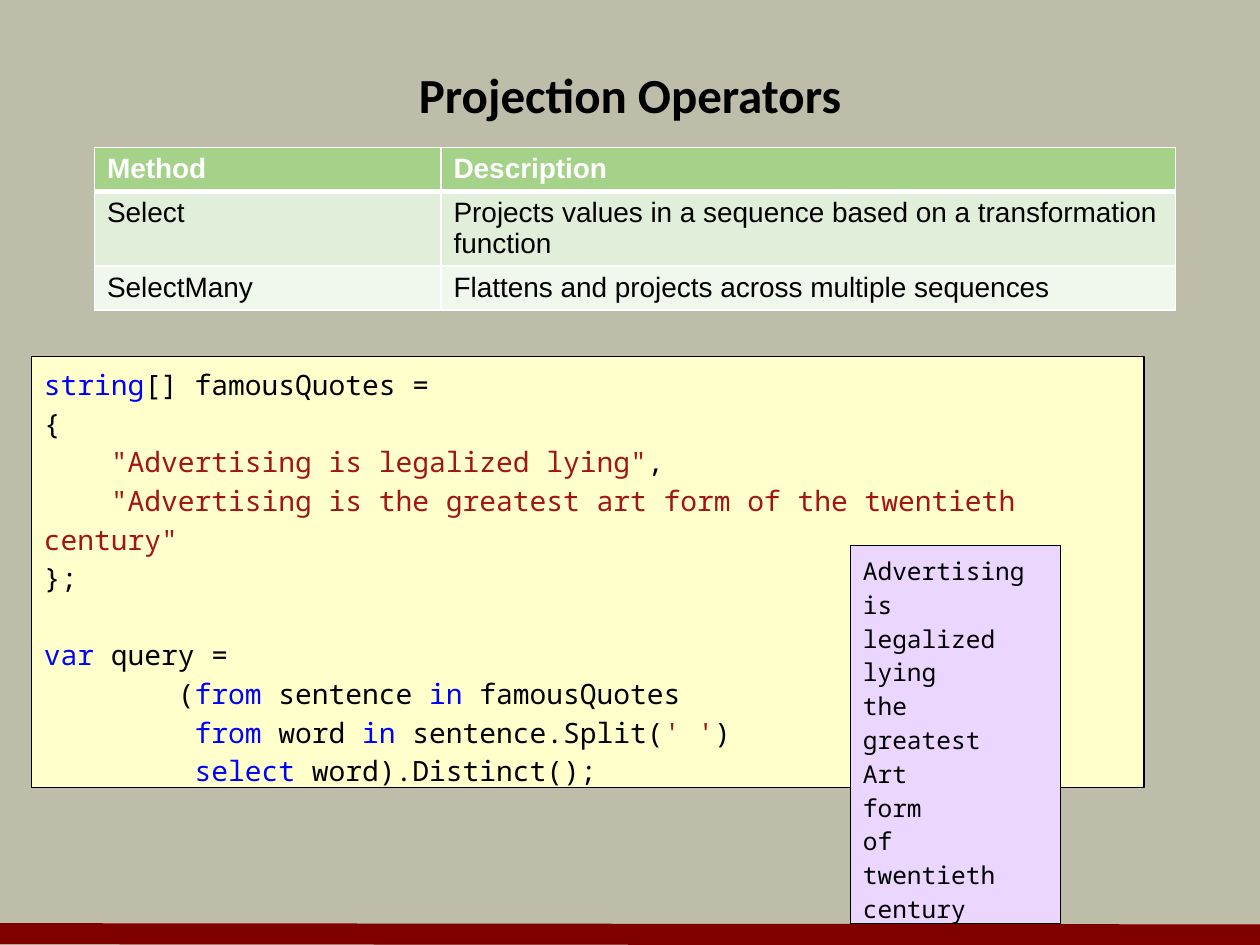
from lxml import etree
from pptx import Presentation
from pptx import util as u
from pptx.dml.color import RGBColor
from pptx.enum import shapes, text
from pptx.oxml import ns

BLACK, WHITE, BLUE, RED, MAROON = "000000", "FFFFFF", "0000FF", "A31515", "800000"

METHODS = [
    ("Method", "Description"),
    ("Select", "Projects values in a sequence based on a transformation function"),
    ("SelectMany", "Flattens and projects across multiple sequences"),
]
ROW_FILLS = ["A4D289", "E0EEDA", "F0F7ED"]

DECLARATION = [
    [("string", BLUE), ("[] famousQuotes =", BLACK)],
    [("{", BLACK)],
    [("    ", BLACK), ('"Advertising is legalized lying"', RED), (",", BLACK)],
    [("    ", BLACK),
     ('"Advertising is the greatest art form of the twentieth century"', RED)],
    [("};", BLACK)],
]
QUERY = [
    [("var", BLUE), (" query =", BLACK)],
    [("        (", BLACK), ("from", BLUE), (" sentence ", BLACK),
     ("in ", BLUE), ("famousQuotes", BLACK)],
    [("         ", BLACK), ("from", BLUE), (" word ", BLACK), ("in ", BLUE),
     ("sentence.Split(", BLACK), ("' '", RED), (")", BLACK)],
    [("         ", BLACK), ("select", BLUE), (" word).Distinct();", BLACK)],
]
WORDS = ["Advertising", "is", "legalized", "lying", "the", "greatest",
         "Art", "form", "of", "twentieth", "century"]


def color(value):
    return RGBColor.from_string(value)


def add_text(para, content, font="Arial", size=16, fill=BLACK, bold=False):
    span = para.add_run()
    span.text = content
    span.font.name = font
    span.font.size = u.Pt(size)
    span.font.bold = bold
    span.font.color.rgb = color(fill)


def set_border(cell, index, side, width):
    line = etree.Element(ns.qn(f"a:ln{side}"), w=str(u.Pt(width)))
    fill = etree.SubElement(line, ns.qn("a:solidFill"))
    etree.SubElement(fill, ns.qn("a:srgbClr"), val=WHITE)
    cell._tc.get_or_add_tcPr().insert(index, line)


class SlideBuilder:
    code_font = "Noto Sans Mono"
    code_spacing = 1.15

    def __init__(self, deck, background):
        self.page = deck.slides.add_slide(deck.slide_layouts[5])
        self.page.background.fill.solid()
        self.page.background.fill.fore_color.rgb = color(background)

    def title(self, content, left, top, width, height):
        box = self.page.shapes.title
        box.left, box.top = u.Inches(left), u.Inches(top)
        box.width, box.height = u.Inches(width), u.Inches(height)
        box.text_frame.vertical_anchor = text.MSO_ANCHOR.MIDDLE
        para = box.text_frame.paragraphs[0]
        para.alignment = text.PP_ALIGN.CENTER
        add_text(para, content, font="Calibri", size=28, bold=True)

    def line(self, x1, y1, x2, y2, stroke, width):
        line = self.page.shapes.add_connector(
            shapes.MSO_CONNECTOR.STRAIGHT,
            *(u.Inches(value) for value in (x1, y1, x2, y2)))
        line.line.color.rgb = color(stroke)
        line.line.width = u.Pt(width)
        etree.SubElement(line._element.spPr, ns.qn("a:effectLst"))

    def table(self, rows, fills, left, top, widths, row_height):
        frame = self.page.shapes.add_table(
            len(rows), len(widths), u.Inches(left), u.Inches(top),
            u.Inches(sum(widths)), u.Inches(row_height * len(rows)))
        table = frame.table
        table.horz_banding = False
        for column, width in zip(table.columns, widths):
            column.width = u.Inches(width)
        for r, values in enumerate(rows):
            header = r == 0
            borders = {"L": 1, "R": 1, "T": 3 if r == 1 else 1, "B": 3 if header else 1}
            for c, value in enumerate(values):
                cell = table.cell(r, c)
                cell.fill.solid()
                cell.fill.fore_color.rgb = color(fills[r])
                for index, (side, width) in enumerate(borders.items()):
                    set_border(cell, index, side, width)
                add_text(cell.text_frame.paragraphs[0], value,
                         fill=WHITE if header else BLACK, bold=header)

    def code(self, blocks, left, top, width, height, fill, size):
        box = self.page.shapes.add_shape(
            shapes.MSO_SHAPE.RECTANGLE, u.Inches(left), u.Inches(top),
            u.Inches(width), u.Inches(height))
        box.shadow.inherit = False
        box.fill.solid()
        box.fill.fore_color.rgb = color(fill)
        box.line.color.rgb = color(BLACK)
        box.line.width = u.Pt(0.75)
        frame = box.text_frame
        frame.word_wrap = True
        frame.vertical_anchor = text.MSO_ANCHOR.TOP
        para = frame.paragraphs[0]
        for b, block in enumerate(blocks):
            for n, spans in enumerate(block):
                if b or n:
                    para = frame.add_paragraph()
                if b and n == 0:
                    para.space_before = u.Pt(22)
                para.alignment = text.PP_ALIGN.LEFT
                para.line_spacing = self.code_spacing
                for content, ink in spans:
                    add_text(para, content, font=self.code_font, size=size, fill=ink)


def main():
    deck = Presentation()
    deck.slide_width, deck.slide_height = u.Inches(10), u.Inches(7.5)
    slide = SlideBuilder(deck, "BDBDA9")
    slide.line(0, 7.41, 10, 7.42, MAROON, 12)
    slide.title("Projection Operators", 0.5, 0.33, 9, 0.83)
    slide.table(METHODS, ROW_FILLS, 0.75, 1.17, [2.75, 5.83], 0.28)
    slide.code([DECLARATION, QUERY], 0.25, 2.83, 8.83, 3.42, "FFFFCC", 16)
    slide.code([[[(word, BLACK)] for word in WORDS]], 6.75, 4.33, 1.67, 3, "EAD6FF", 14)
    deck.save("out.pptx")


if __name__ == "__main__":
    main()
